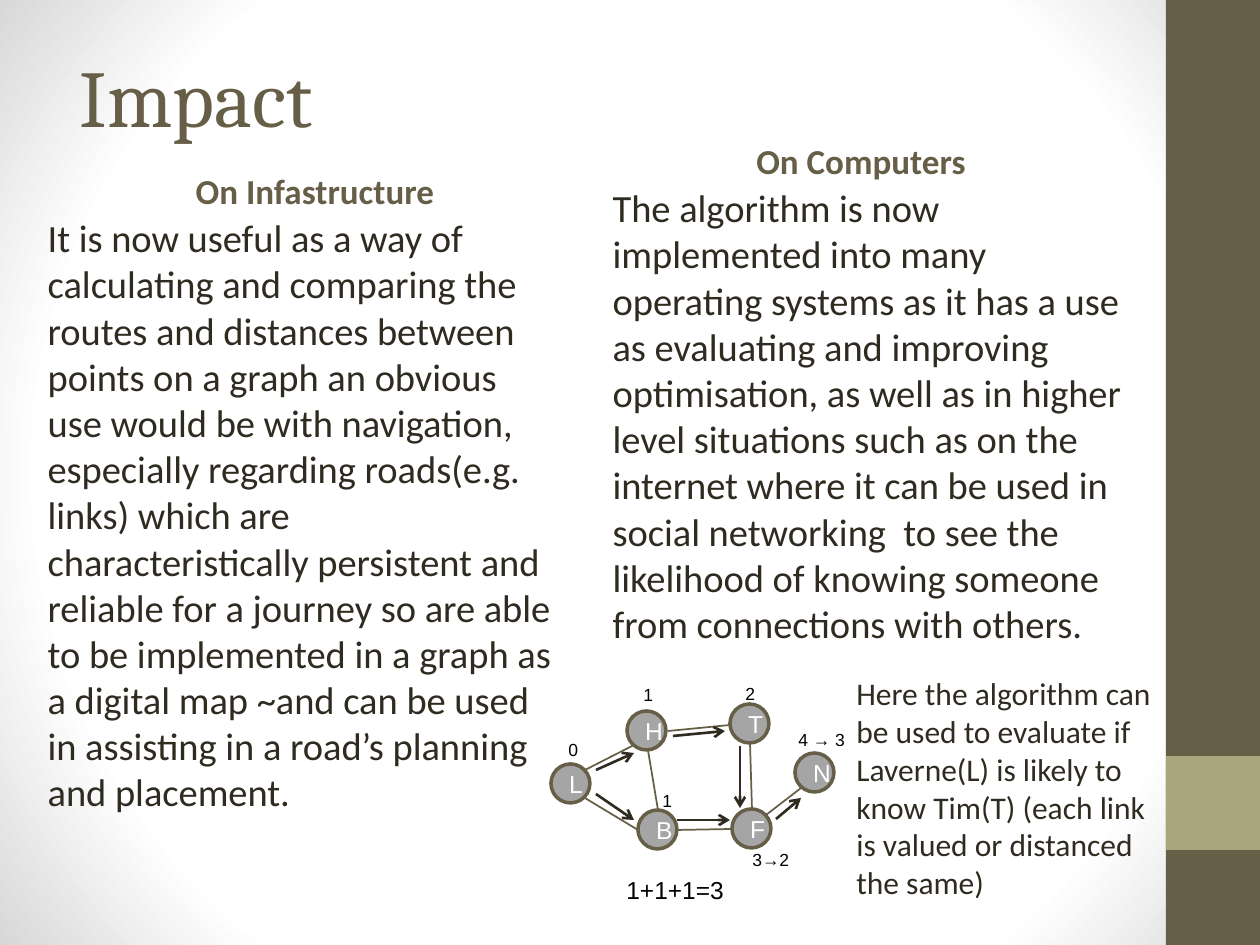
from pptx import Presentation
from pptx import util as u
from pptx.dml.color import RGBColor
from pptx.enum import shapes, text
from pptx.oxml import parse_xml
from pptx.oxml.ns import nsdecls
from lxml import etree

PX = 914400 / 126
BROWN = RGBColor(0x67, 0x5E, 0x47)
OLIVE = RGBColor(0xA9, 0xA5, 0x7C)
INK = RGBColor(0x2F, 0x2B, 0x20)
GREY = RGBColor(0xA5, 0xA5, 0xA5)
WHITE = RGBColor(0xFF, 0xFF, 0xFF)
BLACK = RGBColor(0, 0, 0)
LEFT, CENTER = text.PP_ALIGN.LEFT, text.PP_ALIGN.CENTER
TOP, MIDDLE, BOTTOM = (text.MSO_ANCHOR.TOP, text.MSO_ANCHOR.MIDDLE,
                       text.MSO_ANCHOR.BOTTOM)
NODE = 39


def emu(*lengths):
    return [u.Emu(round(length * PX)) for length in lengths]


def write(box, words, size, font="Calibri", color=INK, bold=False,
          align=LEFT, anchor=TOP, wrap=True, indent=0):
    frame = box.text_frame
    frame.auto_size = text.MSO_AUTO_SIZE.NONE
    frame.word_wrap = wrap
    frame.vertical_anchor = anchor
    para = frame.paragraphs[0]
    para.alignment = align
    para.space_before = u.Pt(0)
    span = para.add_run()
    span.text = words
    span.font.size = u.Pt(size)
    span.font.name = font
    span.font.bold = bold
    span.font.color.rgb = color
    if box.is_placeholder:
        props = para._p.get_or_add_pPr()
        props.set("marL", str(emu(indent)[0]))
        props.set("indent", "0")
        props.append(parse_xml(f"<a:buNone {nsdecls('a')}/>"))


class Painter:
    def __init__(self, deck):
        self.page = deck.slides.add_slide(deck.slide_layouts[4])
        self.shapes = self.page.shapes

    def background(self, stops):
        self.page.background.fill.gradient()
        old = self.page.element.xpath(".//p:bgPr/a:gradFill")[0]
        marks = "".join(f'<a:gs pos="{pos}000"><a:srgbClr val="{color}"/></a:gs>'
                        for pos, color in stops)
        new = parse_xml(
            f'<a:gradFill {nsdecls("a")} rotWithShape="1"><a:gsLst>{marks}</a:gsLst>'
            '<a:path path="circle"><a:fillToRect l="50000" t="50000" r="50000" '
            'b="50000"/></a:path></a:gradFill>')
        old.getparent().replace(old, new)

    def placeholder(self, index, area, words, size, **style):
        box = self.page.placeholders[index]
        box.left, box.top, box.width, box.height = emu(*area)
        write(box, words, size, **style)

    def shape(self, kind, area, fill):
        box = self.shapes.add_shape(kind, *emu(*area))
        box.shadow.inherit = False
        box.fill.solid()
        box.fill.fore_color.rgb = fill
        box.line.fill.background()
        return box

    def node(self, name, left, top):
        circle = self.shape(shapes.MSO_SHAPE.OVAL, (left, top, NODE, NODE), GREY)
        circle.line.color.rgb = BROWN
        circle.line.width = u.Pt(2)
        write(circle, name, 14, font="Arial", color=WHITE, align=CENTER,
              anchor=MIDDLE)

    def line(self, ends, color=BROWN, width=1, arrow=False):
        link = self.shapes.add_connector(shapes.MSO_CONNECTOR.STRAIGHT, *emu(*ends))
        link.line.color.rgb = color
        link.line.width = u.Pt(width)
        if arrow:
            tip = etree.SubElement(link.line._get_or_add_ln(),
                                   "{http://schemas.openxmlformats.org/drawingml/2006/main}tailEnd")
            tip.set("type", "arrow")
        link._element.spPr.append(parse_xml(f"<a:effectLst {nsdecls('a')}/>"))

    def label(self, area, words, size, **style):
        write(self.shapes.add_textbox(*emu(*area)), words, size, **style)


def main():
    deck = Presentation()
    deck.slide_width, deck.slide_height = emu(1260, 945)
    painter = Painter(deck)

    # Background and side band
    painter.background([(0, "FFFFFF"), (75, "FFFFFF"), (100, "D8D8D8")])
    painter.shape(shapes.MSO_SHAPE.RECTANGLE, (1166, 0, 94, 945), BROWN)
    painter.shape(shapes.MSO_SHAPE.RECTANGLE, (1166, 756, 94, 94), OLIVE)

    # Title and the two columns
    painter.placeholder(0, (67, 16, 1050, 158), "Impact", 46, font="Cambria",
                        color=BROWN, anchor=MIDDLE)
    heading = dict(color=BROWN, bold=True, align=CENTER, anchor=BOTTOM)
    painter.placeholder(1, (63, 165, 504, 53), "On Infastructure", 20, **heading)
    painter.placeholder(
        2, (35, 208, 532, 645),
        "It is now useful as a way of calculating and comparing the routes and "
        "distances between points on a graph an obvious use would be with "
        "navigation, especially regarding roads(e.g. links) which are "
        "characteristically persistent and reliable for a journey so are able to "
        "be implemented in a graph as a digital map ~and can be used in assisting "
        "in a road’s planning and placement.", 22)
    painter.placeholder(3, (609, 135, 504, 53), "On Computers", 20, **heading)
    painter.placeholder(
        4, (585, 178, 551, 452),
        "The algorithm is now implemented into many operating systems as it has a "
        "use as evaluating and improving optimisation, as well as in higher level "
        "situations such as on the internet where it can be used in social "
        "networking  to see the likelihood of knowing someone from connections "
        "with others.", 22, indent=15)

    # Graph links, nodes and route arrows
    for ends in [(585, 798, 638, 830), (585, 770, 634, 745), (648, 750, 658, 810),
                 (668, 731, 730, 725), (732, 829, 677, 830), (750, 743, 752, 809),
                 (801, 788, 766, 815)]:
        painter.line(ends)
    for name, left, top in [("L", 551, 764), ("H", 627, 711), ("B", 638, 810),
                            ("F", 732, 809), ("T", 730, 704), ("N", 795, 753)]:
        painter.node(name, left, top)
    for ends in [(596, 794, 634, 820), (677, 820, 730, 820), (776, 819, 801, 798),
                 (596, 770, 634, 753), (673, 736, 725, 731), (740, 746, 740, 808)]:
        painter.line(ends, color=INK, width=1.5, arrow=True)

    # Distances, sum and explanation
    for words, left, top, width in [("4 → 3", 786, 723, 74), ("3→2", 740, 843, 63),
                                    ("0", 556, 733, 35), ("1", 631, 678, 35),
                                    ("1", 650, 784, 35), ("2", 733, 677, 35)]:
        painter.label((left, top, width, 34), words, 10, font="Arial", color=BLACK,
                      wrap=False)
    painter.label((614, 869, 141, 43), "1+1+1=3", 14, font="Arial", color=BLACK)
    painter.label(
        (844, 668, 321, 252),
        "Here the algorithm can be used to evaluate if Laverne(L) is likely to know "
        "Tim(T) (each link is valued or distanced the same)", 18)

    deck.save("out.pptx")


if __name__ == "__main__":
    main()
